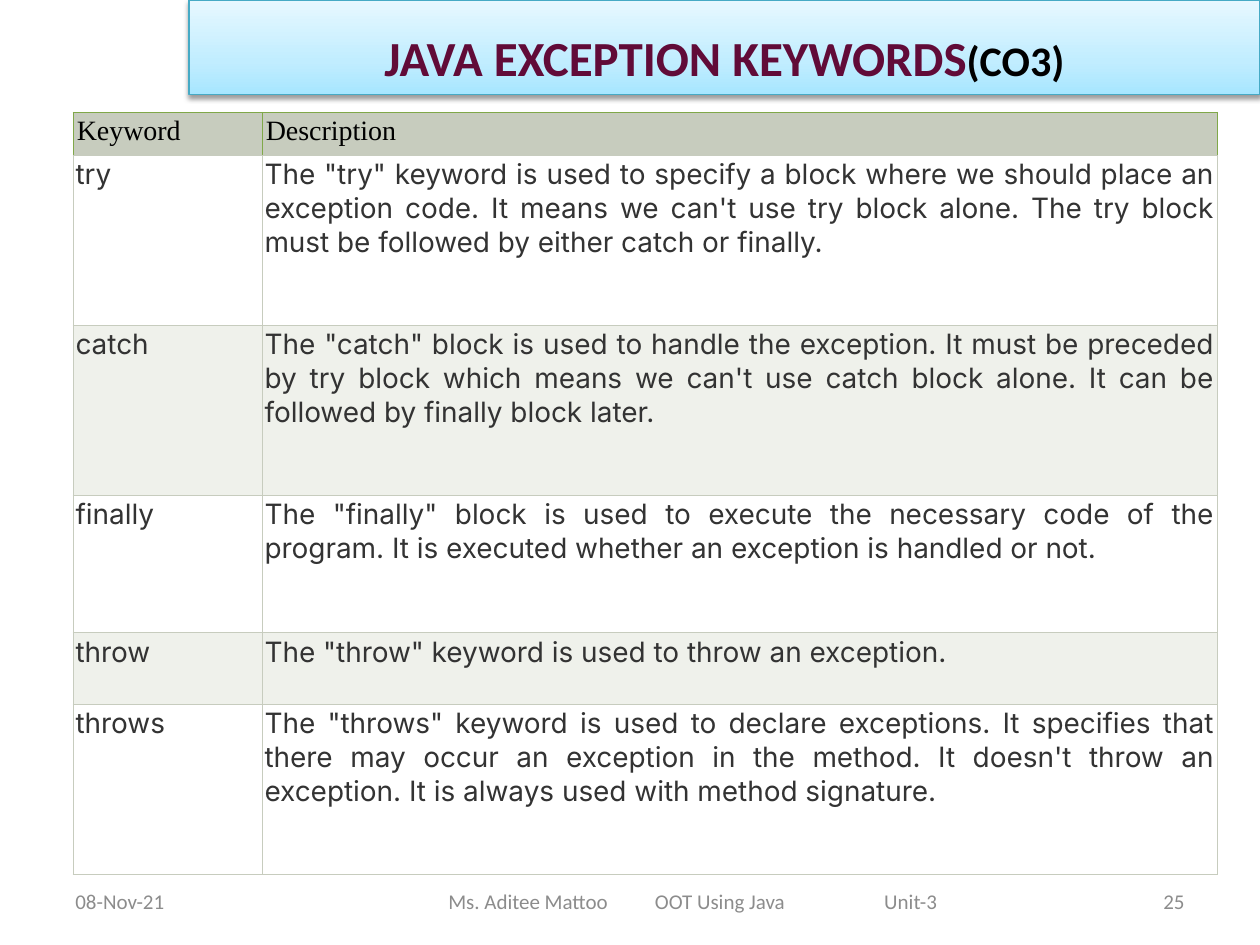
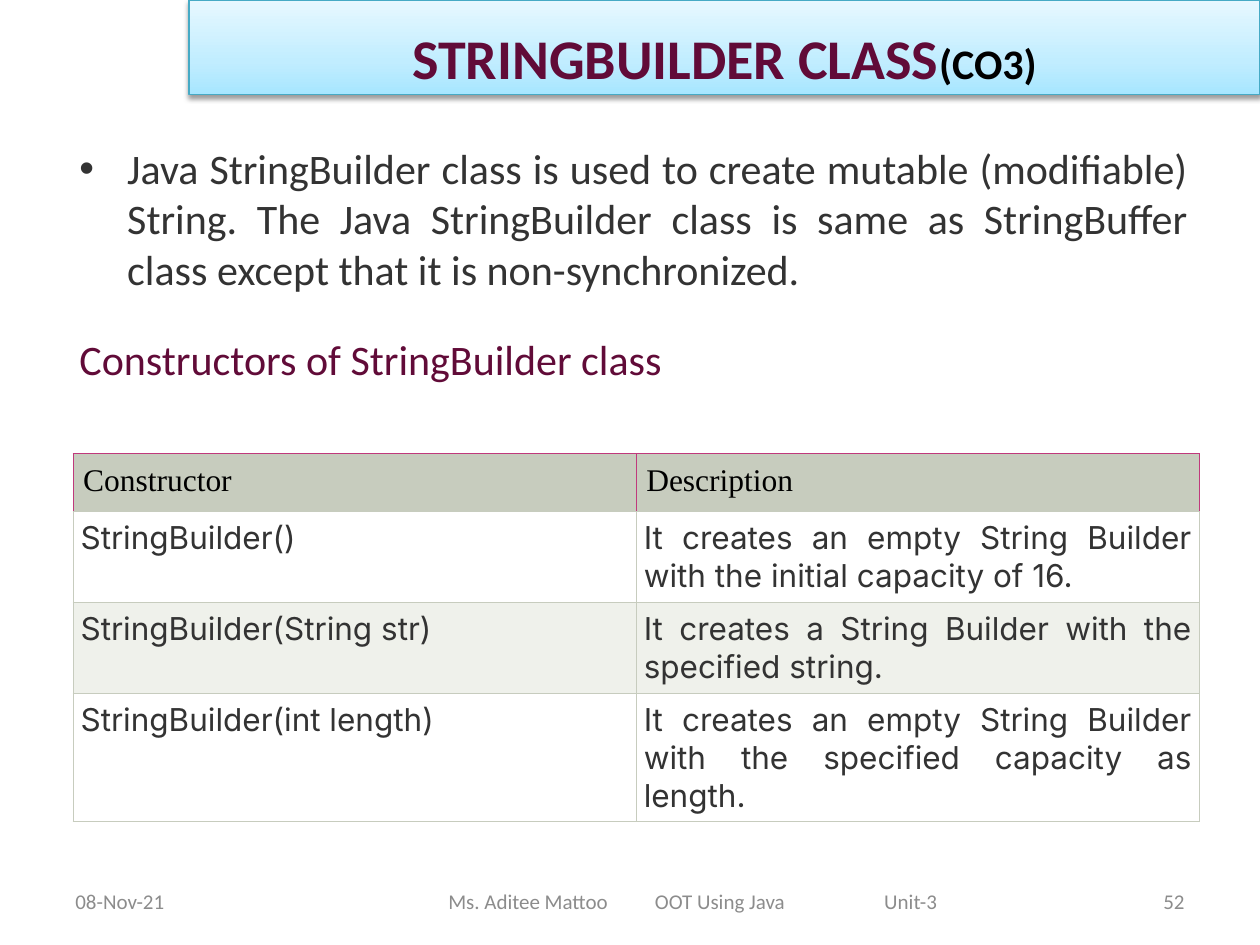
from dataclasses import dataclass

from pptx import Presentation
from pptx.dml.color import RGBColor
from pptx.enum.text import MSO_ANCHOR as Anchor, MSO_AUTO_SIZE as AutoSize, PP_ALIGN as Align
from pptx.oxml import parse_xml
from pptx.oxml.ns import nsdecls
from pptx.util import Inches, Pt

COLORS = {
    "plum": "610B38",
    "black": "000000",
    "ink": "333333",
    "muted": "8C8C8C",
    "band_low": "A7E6FF",
    "band_mid": "C1EDFF",
    "band_high": "E7F8FF",
    "band_line": "46AAC5",
    "sage": "C7CCBE",
    "pale_sage": "EFF1EB",
    "white": "FFFFFF",
    "green": "80A849",
    "pink": "C0397C",
}
TITLE_ONLY, TITLE_AND_CONTENT = 5, 1
FOOTER_TOP, FOOTER_HEIGHT = 6.95, 0.4


@dataclass(frozen=True)
class Style:
    font: str
    size: float
    color: str
    bold: bool = False


@dataclass(frozen=True)
class FooterPart:
    text: str
    left: float
    width: float
    align: Align = Align.LEFT
    tabs: tuple[float, ...] = ()


@dataclass(frozen=True)
class Grid:
    top: float
    columns: tuple[float, ...]
    heights: tuple[float, ...]
    rows: tuple[tuple[str, str], ...]
    size: float
    header_inset: float
    body_inset: float
    header_line: str


FOOTER_STYLE = Style("Calibri", 12, "muted")
COURSE_STYLE = Style("Calibri", 24, "black", True)

KEYWORDS = Grid(
    0.89, (1.5, 7.58), (0.34, 1.35, 1.35, 1.09, 0.57, 1.35),
    (
        ("Keyword", "Description"),
        ("try", "The \"try\" keyword is used to specify a block where we should place an "
                "exception code. It means we can't use try block alone. The try block must "
                "be followed by either catch or finally."),
        ("catch", "The \"catch\" block is used to handle the exception. It must be preceded "
                  "by try block which means we can't use catch block alone. It can be "
                  "followed by finally block later."),
        ("finally", "The \"finally\" block is used to execute the necessary code of the "
                    "program. It is executed whether an exception is handled or not."),
        ("throw", "The \"throw\" keyword is used to throw an exception."),
        ("throws", "The \"throws\" keyword is used to declare exceptions. It specifies that "
                   "there may occur an exception in the method. It doesn't throw an "
                   "exception. It is always used with method signature."),
    ),
    16, 0.03, 0.02, "green",
)
CONSTRUCTORS = Grid(
    3.6, (4.47, 4.47), (0.44, 0.71, 0.71, 1.01),
    (
        ("Constructor", "Description"),
        ("StringBuilder()",
         "It creates an empty String Builder with the initial capacity of 16."),
        ("StringBuilder(String str)",
         "It creates a String Builder with the specified string."),
        ("StringBuilder(int length)",
         "It creates an empty String Builder with the specified capacity as length."),
    ),
    18, 0.08, 0.06, "pink",
)


def place(shape, left: float, top: float, width: float, height: float) -> None:
    shape.left, shape.top = Inches(left), Inches(top)
    shape.width, shape.height = Inches(width), Inches(height)


def set_insets(target, left: float, top: float, right: float, bottom: float) -> None:
    target.margin_left, target.margin_top = Inches(left), Inches(top)
    target.margin_right, target.margin_bottom = Inches(right), Inches(bottom)


def add_span(para, text: str, style: Style) -> None:
    span = para.add_run()
    span.text = text
    span.font.name = style.font
    span.font.size = Pt(style.size)
    span.font.bold = style.bold
    span.font.color.rgb = RGBColor.from_string(COLORS[style.color])


def add_title(page, text: str, size: float) -> None:
    band = page.shapes.title
    place(band, 1.5, 0, 8.5, 0.75)
    stops = "".join(
        f'<a:gs pos="{position * 1000}"><a:srgbClr val="{COLORS[name]}"/></a:gs>'
        for position, name in ((0, "band_low"), (35, "band_mid"), (100, "band_high"))
    )
    properties = band.element.spPr
    properties.append(parse_xml(
        f'<a:prstGeom {nsdecls("a")} prst="rect"><a:avLst/></a:prstGeom>'
    ))
    properties.append(parse_xml(
        f'<a:gradFill {nsdecls("a")} rotWithShape="1"><a:gsLst>{stops}</a:gsLst>'
        '<a:lin ang="16200000" scaled="0"/></a:gradFill>'
    ))
    band.line.color.rgb = RGBColor.from_string(COLORS["band_line"])
    band.line.width = Pt(0.75)
    properties.append(parse_xml(
        f'<a:effectLst {nsdecls("a")}><a:outerShdw blurRad="{Pt(3.1)}" dist="{Pt(1.6)}" '
        f'dir="5400000" rotWithShape="0"><a:srgbClr val="{COLORS["black"]}">'
        '<a:alpha val="38000"/></a:srgbClr></a:outerShdw></a:effectLst>'
    ))
    frame = band.text_frame
    frame.auto_size = AutoSize.NONE
    frame.vertical_anchor = Anchor.MIDDLE
    set_insets(frame, 0.1, 0.2, 0.1, 0.05)
    para = frame.paragraphs[0]
    para.alignment = Align.CENTER
    add_span(para, text, Style("Calibri", size, "plum", True))
    add_span(para, "(CO3)", COURSE_STYLE)


def add_footer(page, number: int) -> None:
    parts = (
        FooterPart("08-Nov-21", 0.5, 2.33),
        FooterPart("Ms. Aditee Mattoo\tOOT Using Java\tUnit-3", 3.46, 4.1,
                   tabs=(1.64, 3.46)),
        FooterPart(str(number), 7.17, 2.33, Align.RIGHT),
    )
    for part in parts:
        box = page.shapes.add_textbox(
            Inches(part.left), Inches(FOOTER_TOP), Inches(part.width), Inches(FOOTER_HEIGHT)
        )
        box.text_frame.word_wrap = True
        box.text_frame.vertical_anchor = Anchor.MIDDLE
        para = box.text_frame.paragraphs[0]
        para.alignment = part.align
        if part.tabs:
            stops = "".join(f'<a:tab pos="{Inches(stop)}" algn="l"/>' for stop in part.tabs)
            para._p.get_or_add_pPr().append(
                parse_xml(f'<a:tabLst {nsdecls("a")}>{stops}</a:tabLst>')
            )
        add_span(para, part.text, FOOTER_STYLE)


def set_borders(cell, side_color: str, bottom_color: str) -> None:
    colors = {"lnL": side_color, "lnR": side_color, "lnT": side_color, "lnB": bottom_color}
    for tag, color in colors.items():
        cell._tc.get_or_add_tcPr().append(parse_xml(
            f'<a:{tag} {nsdecls("a")} w="{Pt(0.5)}"><a:solidFill>'
            f'<a:srgbClr val="{COLORS[color]}"/></a:solidFill></a:{tag}>'
        ))


def fill_cell(cell, text: str, row: int, grid: Grid) -> None:
    is_header = row == 0
    inset = grid.header_inset if is_header else grid.body_inset
    set_insets(cell, inset, inset, inset, inset)
    set_borders(cell, grid.header_line if is_header else "sage", "sage")
    fill = "sage" if is_header else ("pale_sage", "white")[row % 2]
    cell.fill.solid()
    cell.fill.fore_color.rgb = RGBColor.from_string(COLORS[fill])
    para = cell.text_frame.paragraphs[0]
    para.alignment = Align.LEFT if is_header else Align.JUSTIFY
    font, color = ("Times New Roman", "black") if is_header else ("Inter", "ink")
    add_span(para, text, Style(font, grid.size, color))


def add_grid(page, grid: Grid) -> None:
    table = page.shapes.add_table(
        len(grid.rows), len(grid.columns), Inches(0.58), Inches(grid.top),
        Inches(sum(grid.columns)), Inches(sum(grid.heights)),
    ).table
    table.horz_banding = False
    for column, width in zip(table.columns, grid.columns):
        column.width = Inches(width)
    for row, (height, texts) in enumerate(zip(grid.heights, grid.rows)):
        table.rows[row].height = Inches(height)
        for column, text in enumerate(texts):
            fill_cell(table.cell(row, column), text, row, grid)


def add_body(page) -> None:
    body = page.placeholders[1]
    place(body, 0.53, 1.08, 9, 4.95)
    frame = body.text_frame
    frame.auto_size = AutoSize.NONE
    entries = (
        ("Java StringBuilder class is used to create mutable (modifiable) String. The Java "
         "StringBuilder class is same as StringBuffer class except that it is "
         "non-synchronized.", "ink", 0, 0.38, '<a:buChar {} char="•"/>'),
        ("Constructors of StringBuilder class", "plum", 23, 0, "<a:buNone {}/>"),
    )
    for index, (text, color, space, indent, bullet) in enumerate(entries):
        para = frame.add_paragraph() if index else frame.paragraphs[0]
        para.alignment = Align.JUSTIFY
        para.space_before = Pt(space)
        properties = para._p.get_or_add_pPr()
        properties.set("marL", str(Inches(indent)))
        properties.set("indent", str(-Inches(indent)))
        properties.append(parse_xml(bullet.format(nsdecls("a"))))
        add_span(para, text, Style("Calibri", 24, color))


def add_page(deck, layout: int, title: str, size: float, number: int):
    page = deck.slides.add_slide(deck.slide_layouts[layout])
    add_footer(page, number)
    add_title(page, title, size)
    return page


def main() -> None:
    deck = Presentation()
    deck.slide_width, deck.slide_height = Inches(10), Inches(7.5)

    keywords_page = add_page(deck, TITLE_ONLY, "JAVA EXCEPTION KEYWORDS", 28, 25)
    add_grid(keywords_page, KEYWORDS)

    builder_page = add_page(deck, TITLE_AND_CONTENT, "STRINGBUILDER CLASS", 32, 52)
    add_body(builder_page)
    add_grid(builder_page, CONSTRUCTORS)

    deck.save("out.pptx")


if __name__ == "__main__":
    main()
